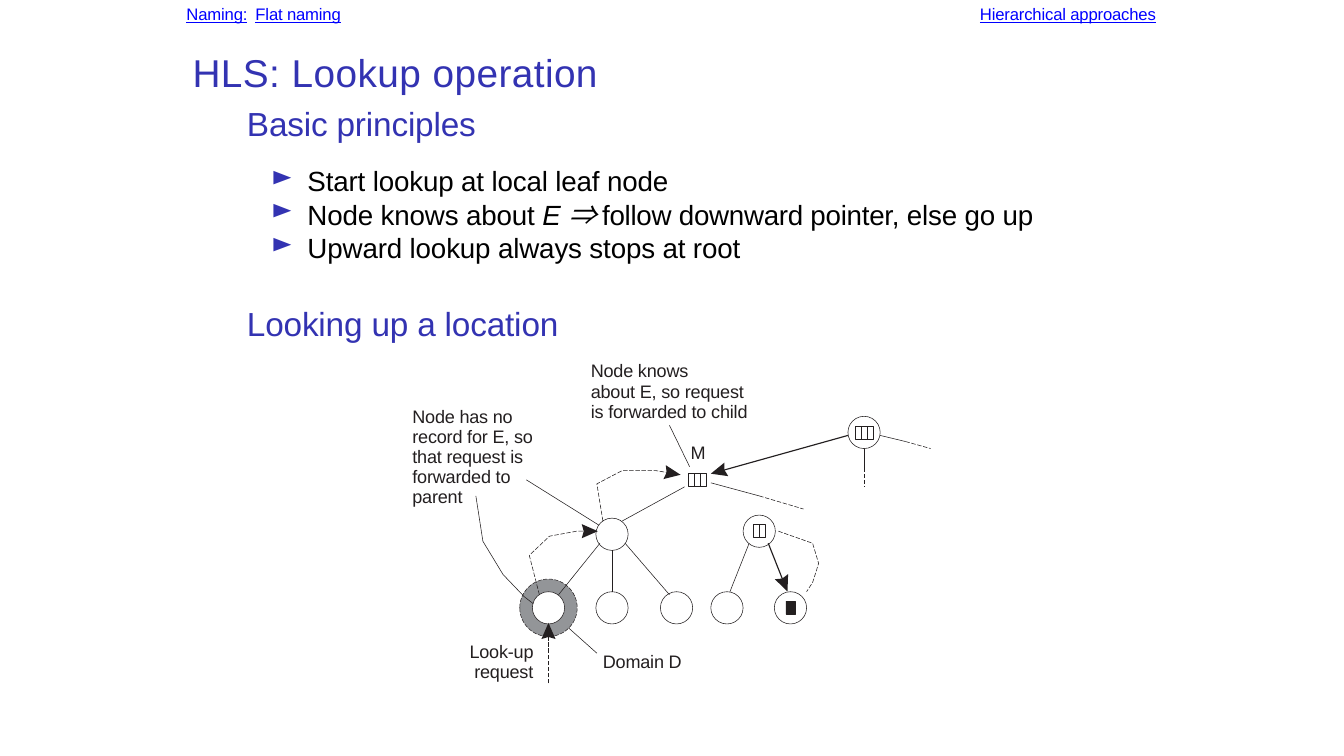
import math

from lxml import etree
from pptx import Presentation
from pptx import util as u
from pptx.dml.color import RGBColor
from pptx.enum import dml, shapes, text
from pptx.oxml import ns

COLOURS = {"heading": "3333B2", "link": "0000FF", "body": "000000",
           "ink": "231F20", "domain": "939598", "white": "FFFFFF"}
FONT = "Arial"
NODE_SIZE = 0.32
THIN, BOLD = 0.4, 0.81


def rgb(name):
    return RGBColor.from_string(COLOURS[name])


def emu(points):
    return [(u.Inches(x), u.Inches(y)) for x, y in points]


class NamingSlide:
    """Holds the styling and the slide on which elements are placed."""

    def __init__(self, presentation):
        self.slide = presentation.slides.add_slide(presentation.slide_layouts[5])
        self.shapes = self.slide.shapes

    def title(self, box, content, size):
        shape = self.shapes.title
        shape.left, shape.top, shape.width, shape.height = map(u.Inches, box)
        self.fill_frame(shape.text_frame, [dict(runs=[(content, {"spacing": 0.3})])],
                        size, "heading")

    def text(self, box, paragraphs, size, colour):
        shape = self.shapes.add_textbox(*map(u.Inches, box))
        self.fill_frame(shape.text_frame, paragraphs, size, colour)

    def fill_frame(self, frame, paragraphs, size, colour):
        """Each paragraph is a dict of runs, bullet, run style and paragraph format."""
        settings = dict(word_wrap=True, auto_size=text.MSO_AUTO_SIZE.NONE,
                        vertical_anchor=text.MSO_ANCHOR.TOP, margin_left=0,
                        margin_top=0, margin_right=0, margin_bottom=0)
        for name, value in settings.items():
            setattr(frame, name, value)
        for index, item in enumerate(paragraphs):
            paragraph = frame.add_paragraph() if index else frame.paragraphs[0]
            paragraph.alignment = text.PP_ALIGN.LEFT
            if item.get("bullet"):
                self.bullet(paragraph)
            for name, value in item.get("format", {}).items():
                setattr(paragraph, name, value)
            for run in item["runs"]:
                content, changes = (run, {}) if isinstance(run, str) else run
                style = {"size": size, "colour": colour, **item.get("style", {}), **changes}
                self.run(paragraph, content, **style)

    def bullet(self, paragraph):
        properties = paragraph._p.get_or_add_pPr()
        properties.set("marL", str(u.Inches(0.6)))
        properties.set("indent", str(u.Inches(-0.36)))
        colour = etree.SubElement(properties, ns.qn("a:buClr"))
        etree.SubElement(colour, ns.qn("a:srgbClr"), val=COLOURS["heading"])
        etree.SubElement(properties, ns.qn("a:buChar"), char="►")

    def run(self, paragraph, content, size, colour, font=FONT, spacing=-0.1, **extra):
        run = paragraph.add_run()
        run.text = content
        for name, value in dict(size=u.Pt(size), name=font, **extra).items():
            setattr(run.font, name, value)
        run.font.color.rgb = rgb(colour)
        properties = run._r.get_or_add_rPr()
        properties.set("spc", str(round(spacing * 100)))
        etree.SubElement(properties, ns.qn("a:ea"), typeface=font)

    def paint(self, shape, fill=None, line=THIN, dashed=False):
        shape.shadow.inherit = False
        if fill:
            shape.fill.solid()
            shape.fill.fore_color.rgb = rgb(fill)
        else:
            shape.fill.background()
        self.outline(shape.line, line, dashed)

    def outline(self, line, width, dashed):
        if not width:
            line.fill.background()
            return
        line.color.rgb = rgb("ink")
        line.width = u.Pt(width)
        if dashed:
            line.dash_style = dml.MSO_LINE.LONG_DASH

    def line(self, start, end, width=THIN, dashed=False):
        (x1, y1), (x2, y2) = emu([start, end])
        connector = self.shapes.add_connector(shapes.MSO_CONNECTOR.STRAIGHT, x1, y1, x2, y2)
        self.outline(connector.line, width, dashed)
        etree.SubElement(connector._element.spPr, ns.qn("a:effectLst"))

    def outline_path(self, points, closed=False, **paint):
        start, *rest = emu(points)
        builder = self.shapes.build_freeform(*start)
        builder.add_line_segments(rest, close=closed)
        self.paint(builder.convert_to_shape(), **paint)

    def arrow(self, points, width=THIN, dashed=False):
        """Line through the points, with a solid notched head at the last one."""
        (x1, y1), (tip_x, tip_y) = points[-2:]
        angle = math.atan2(tip_y - y1, tip_x - x1)

        def behind(back, side):
            return (tip_x - back * math.cos(angle) - side * math.sin(angle),
                    tip_y - back * math.sin(angle) + side * math.cos(angle))

        route = [*points[:-1], behind(0.08, 0)]
        if len(route) == 2:
            self.line(*route, width=width, dashed=dashed)
        else:
            self.outline_path(route, line=width, dashed=dashed)
        head = [behind(0, 0), behind(0.16, 0.07), behind(0.14, 0), behind(0.16, -0.07)]
        self.outline_path(head, closed=True, fill="ink", line=None)

    def circle(self, centre, size=NODE_SIZE, fill="white", **paint):
        self.preset(shapes.MSO_SHAPE.OVAL, centre, size, size, fill=fill, **paint)

    def record(self, centre, cells, width=0.06, fill=None):
        """Row of touching cells around the centre."""
        x, y = centre
        for cell in range(cells):
            cell_centre = (x + (cell - (cells - 1) / 2) * width, y)
            self.preset(shapes.MSO_SHAPE.RECTANGLE, cell_centre, width, 0.13, fill=fill)

    def preset(self, kind, centre, width, height, **paint):
        x, y = centre
        box = (x - width / 2, y - height / 2, width, height)
        self.paint(self.shapes.add_shape(kind, *map(u.Inches, box)), **paint)


def add_texts(slide):
    link = {"underline": True}
    slide.title((1.91, 0.48, 8.5, 0.46), "HLS: Lookup operation", 27.7)
    slide.text((1.85, 0.04, 1.7, 0.2), [dict(runs=[
        ("Naming:", link), (" ", {"spacing": 2.4}), ("Flat naming", link)])], 11.9, "link")
    slide.text((9.72, 0.04, 1.9, 0.2), [dict(runs=["Hierarchical approaches"], style=link)],
               11.9, "link")

    heading = {"size": 23.8, "colour": "heading"}
    line_height = u.Pt(23.8)
    bullets = [
        ["Start lookup at local leaf node"],
        ["Node knows about ", ("E ", {"italic": True}),
         ("⇒ ", {"italic": True, "font": "Noto Sans CJK JP"}),
         ("follow downward pointer, ", {"spacing": -0.2}), "else go up"],
        ["Upward lookup always stops at root"],
    ]
    body = [dict(runs=["Basic principles"], style=heading)]
    for index, runs in enumerate(bullets):
        space = u.Pt(0 if index else 15.3)
        body.append(dict(runs=runs, bullet=True,
                         format={"line_spacing": line_height, "space_before": space}))
    body.append(dict(runs=["Looking up a location"], style=heading,
                     format={"space_before": u.Pt(28)}))
    slide.text((2.45, 1.02, 8.2, 2.4), body, 19.8, "body")


def add_labels(slide):
    tight = {"line_spacing": u.Pt(14.3)}
    labels = [
        ((5.98, 6.45, 0.9, 0.22), [dict(runs=["Domain D"])]),
        ((6.85, 4.38, 0.25, 0.22), [dict(runs=["M"])]),
        ((4.09, 4.04, 1.25, 1), [dict(
            runs=["Node has no record for E, so that request is forwarded to parent"],
            format=tight)]),
        ((4.59, 6.37, 0.7, 0.42), [dict(
            runs=["Look-up request"], format={**tight, "alignment": text.PP_ALIGN.RIGHT})]),
        ((5.86, 3.57, 1.62, 0.62), [
            dict(runs=["Node knows"], format={"line_spacing": u.Pt(14.9)}),
            dict(runs=["about E, so request is forwarded to child"],
                 format={**tight, "space_before": u.Pt(0.9)})]),
    ]
    for box, paragraphs in labels:
        slide.text(box, paragraphs, 12.9, "ink")


def add_tree(slide):
    root, parent, branch, m_node = (8.57, 4.29), (6.07, 5.3), (7.53, 5.27), (6.92, 4.76)
    leaves = [(x, 6.03) for x in (5.44, 6.07, 6.71, 7.21, 7.84)]
    slide.circle(leaves[0], size=0.57, fill="domain", line=0.36, dashed=True)
    for node in (root, parent, branch, *leaves):
        slide.circle(node)
    for node, cells in ((m_node, 3), (root, 3), (branch, 2)):
        slide.record(node, cells)
    slide.record(leaves[-1], 1, width=0.09, fill="ink")

    branches = [((6.79, 4.83), (6.17, 5.17)), ((5.95, 5.39), (5.54, 5.9)),
                ((6.07, 5.46), (6.07, 5.87)), ((6.2, 5.39), (6.64, 5.9)),
                ((7.43, 5.39), (7.24, 5.87)), ((7.05, 4.79), (7.53, 4.92)),
                ((8.73, 4.32), (8.98, 4.38)), ((8.57, 4.45), (8.57, 4.64))]
    callouts = [((5.92, 6.48), (5.64, 6.23)), ((5.22, 4.76), (5.94, 5.21)),
                ((6.64, 4.22), (6.84, 4.63))]
    for ends in branches + callouts:
        slide.line(*ends)
    for ends in (((7.53, 4.92), (7.97, 5.05)), ((8.98, 4.38), (9.23, 4.45)),
                 ((8.57, 4.64), (8.57, 4.83))):
        slide.line(*ends, dashed=True)
    slide.outline_path([(4.72, 4.92), (4.79, 5.37), (4.99, 5.7), (5.2, 5.92), (5.29, 5.99)])
    slide.outline_path([(7.72, 5.27), (8.06, 5.39), (8.12, 5.59), (8.06, 5.78), (8, 5.87)],
                       dashed=True)

    for points in ([(8.41, 4.32), (7.05, 4.7)], [(7.62, 5.39), (7.81, 5.87)]):
        slide.arrow(points, width=BOLD)
    for points in ([(5.44, 6.78), (5.44, 6.18)],
                   [(5.35, 5.9), (5.25, 5.51), (5.45, 5.32), (5.72, 5.27), (5.93, 5.27)],
                   [(5.98, 5.17), (5.92, 4.8), (6.17, 4.67), (6.51, 4.67), (6.75, 4.71)]):
        slide.arrow(points, dashed=True)


def main():
    presentation = Presentation()
    presentation.slide_width, presentation.slide_height = u.Inches(13.33), u.Inches(7.5)
    slide = NamingSlide(presentation)
    add_texts(slide)
    add_tree(slide)
    add_labels(slide)
    presentation.save("out.pptx")


if __name__ == "__main__":
    main()
